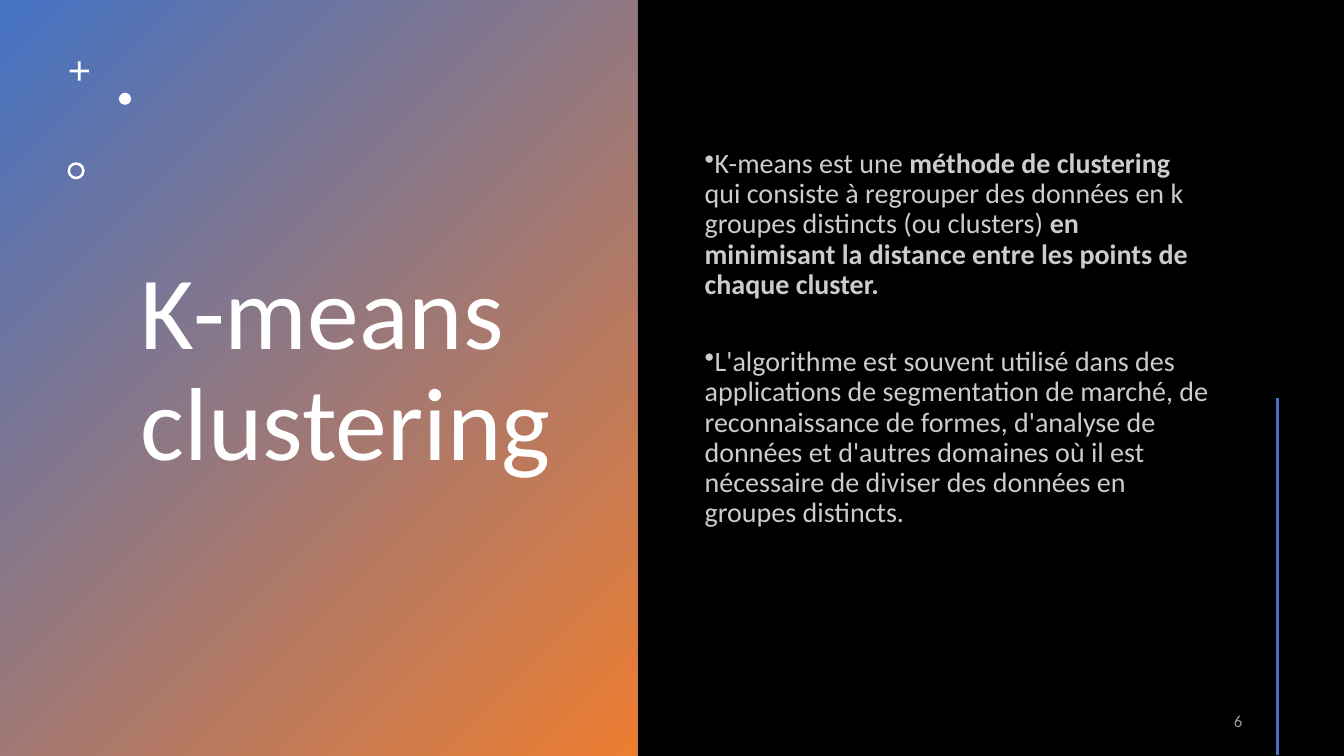
from dataclasses import dataclass

from lxml import etree
from pptx import Presentation
from pptx.dml.color import RGBColor
from pptx.enum.shapes import MSO_CONNECTOR, MSO_SHAPE
from pptx.enum.text import MSO_ANCHOR, PP_ALIGN
from pptx.oxml.ns import qn
from pptx.util import Inches, Pt

RECTANGLE = MSO_SHAPE.RECTANGLE
CROSS = MSO_SHAPE.CROSS
OVAL = MSO_SHAPE.OVAL
DONUT = MSO_SHAPE.DONUT
STRAIGHT = MSO_CONNECTOR.STRAIGHT
TOP = MSO_ANCHOR.TOP
MIDDLE = MSO_ANCHOR.MIDDLE
LEFT = PP_ALIGN.LEFT
RIGHT = PP_ALIGN.RIGHT


@dataclass(frozen=True)
class Theme:
    font: str = "Calibri"
    background: RGBColor = RGBColor(0x00, 0x00, 0x00)
    blue: RGBColor = RGBColor(0x44, 0x72, 0xC4)
    orange: RGBColor = RGBColor(0xED, 0x7D, 0x31)
    white: RGBColor = RGBColor(0xFF, 0xFF, 0xFF)
    body: RGBColor = RGBColor(0xCC, 0xCC, 0xCC)
    muted: RGBColor = RGBColor(0x99, 0x99, 0x99)
    title_size: int = 74
    body_size: int = 20
    number_size: int = 12


@dataclass(frozen=True)
class Box:
    left: float
    top: float
    width: float
    height: float

    def inches(self):
        return [Inches(v) for v in (self.left, self.top, self.width, self.height)]

    def inner(self, left, top, width, height):
        return Box(self.left + left, self.top + top, width, height)


THEME = Theme()

DEFINITION = [
    ("K-means est une ", False),
    ("méthode de clustering ", True),
    ("qui consiste à regrouper des données en k groupes distincts (ou clusters) ", False),
    ("en minimisant la distance entre les points de chaque cluster.", True),
]
USES = [
    ("L'algorithme est souvent utilisé dans des applications de segmentation "
     "de marché, de reconnaissance de formes, d'analyse de données et d'autres "
     "domaines où il est nécessaire de diviser des données en groupes distincts.", False),
]


def add_text_frame(page, box, anchor):
    frame = page.shapes.add_textbox(*box.inches()).text_frame
    frame.word_wrap = True
    frame.vertical_anchor = anchor
    return frame


def add_span(para, text, size, color, bold=False):
    span = para.add_run()
    span.text = text
    span.font.name = THEME.font
    span.font.size = Pt(size)
    span.font.bold = bold
    span.font.color.rgb = color


def add_bullet(para):
    properties = para._p.get_or_add_pPr()
    properties.set("marL", "0")
    properties.set("indent", str(-Inches(0.25)))
    etree.SubElement(properties, qn("a:buChar")).set("char", "•")


def add_ornaments(page, box):
    group = page.shapes.add_group_shape()
    ornaments = [
        (CROSS, box.inner(0.02, 0, 0.19, 0.19), 0.43),
        (OVAL, box.inner(0.51, 0.31, 0.12, 0.12), None),
        (DONUT, box.inner(0, 1, 0.17, 0.17), 0.15),
    ]
    for kind, place, adjustment in ornaments:
        ornament = group.shapes.add_shape(kind, *place.inches())
        ornament.shadow.inherit = False
        ornament.fill.solid()
        ornament.fill.fore_color.rgb = THEME.white
        ornament.line.fill.background()
        if adjustment is not None:
            ornament.adjustments[0] = adjustment


def add_title_panel(page, box):
    panel = page.shapes.add_shape(RECTANGLE, *box.inches())
    panel.shadow.inherit = False
    panel.line.fill.background()
    panel.fill.gradient()
    panel.fill.gradient_angle = 315
    for stop, color in zip(panel.fill.gradient_stops, (THEME.blue, THEME.orange)):
        stop.color.rgb = color
    frame = add_text_frame(page, box.inner(1.3, 0.42, 4.38, 6.53), MIDDLE)
    para = frame.paragraphs[0]
    para.alignment = LEFT
    para.line_spacing = 0.9
    add_span(para, "K-means clustering", THEME.title_size, THEME.white)
    add_ornaments(page, box.inner(0.67, 0.61, 0.63, 1.17))


def add_body(page, box):
    frame = add_text_frame(page, box, TOP)
    frame.margin_top = Inches(0.91)
    for index, passages in enumerate((DEFINITION, USES)):
        para = frame.add_paragraph() if index else frame.paragraphs[0]
        para.alignment = LEFT
        para.line_spacing = 0.9
        para.space_before = Pt(27.6 if index else 0)
        para.space_after = Pt(6)
        add_bullet(para)
        for text, bold in passages:
            add_span(para, text, THEME.body_size, THEME.body, bold)


def add_page_number(page, box):
    para = add_text_frame(page, box, MIDDLE).paragraphs[0]
    para.alignment = RIGHT
    add_span(para, "6", THEME.number_size, THEME.muted)


def add_accent_line(page, box):
    accent = page.shapes.add_connector(
        STRAIGHT, Inches(box.left), Inches(box.top),
        Inches(box.left), Inches(box.top + box.height))
    accent.line.color.rgb = THEME.blue
    accent.line.width = Pt(2)
    etree.SubElement(accent._element.spPr, qn("a:effectLst"))


def add_content_panel(page, box):
    add_body(page, box.inner(0.57, 0.57, 5.22, 6.38))
    add_page_number(page, box.inner(3.1, 6.95, 3, 0.4))
    add_accent_line(page, box.inner(6.35, 3.95, 0, 3.54))


def main():
    deck = Presentation()
    deck.slide_width = Inches(13.33)
    deck.slide_height = Inches(7.5)
    page = deck.slides.add_slide(deck.slide_layouts[6])
    page.background.fill.solid()
    page.background.fill.fore_color.rgb = THEME.background
    add_title_panel(page, Box(0, 0, 6.32, 7.5))
    add_content_panel(page, Box(6.32, 0, 7.01, 7.5))
    deck.save("out.pptx")


if __name__ == "__main__":
    main()
